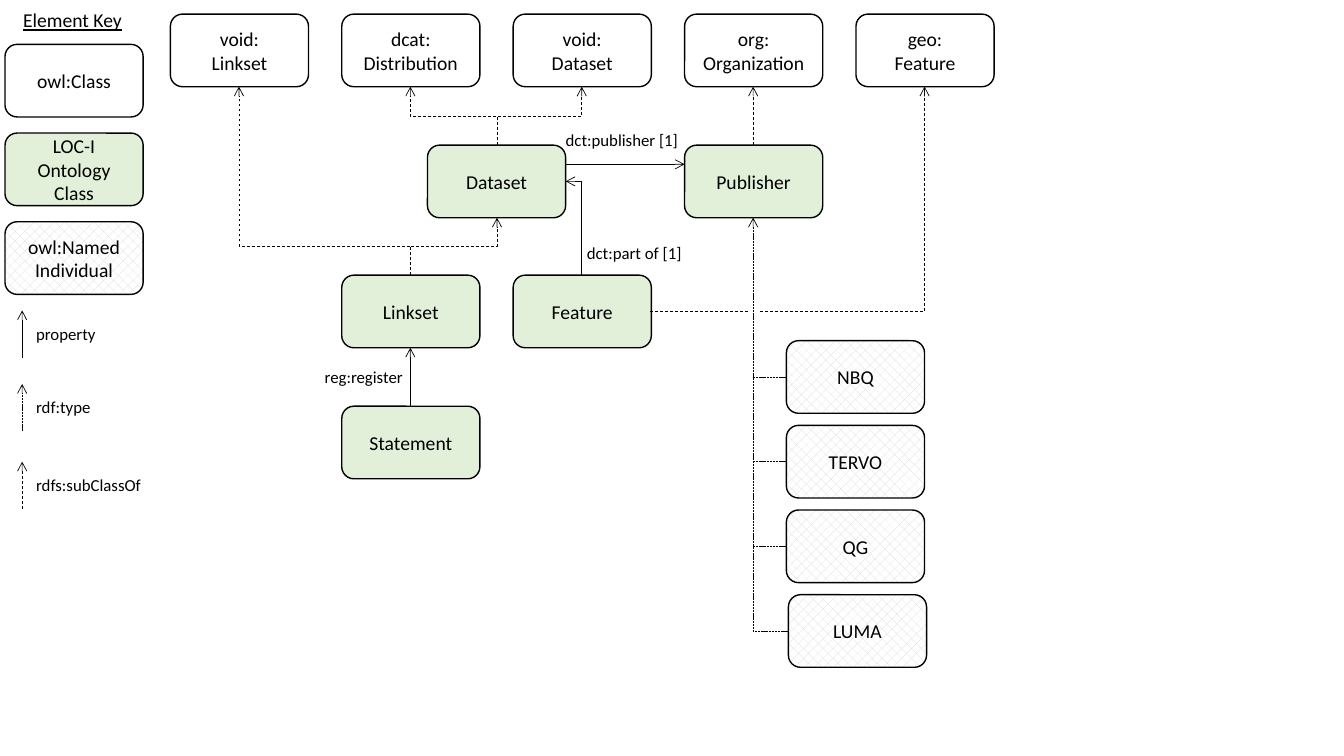
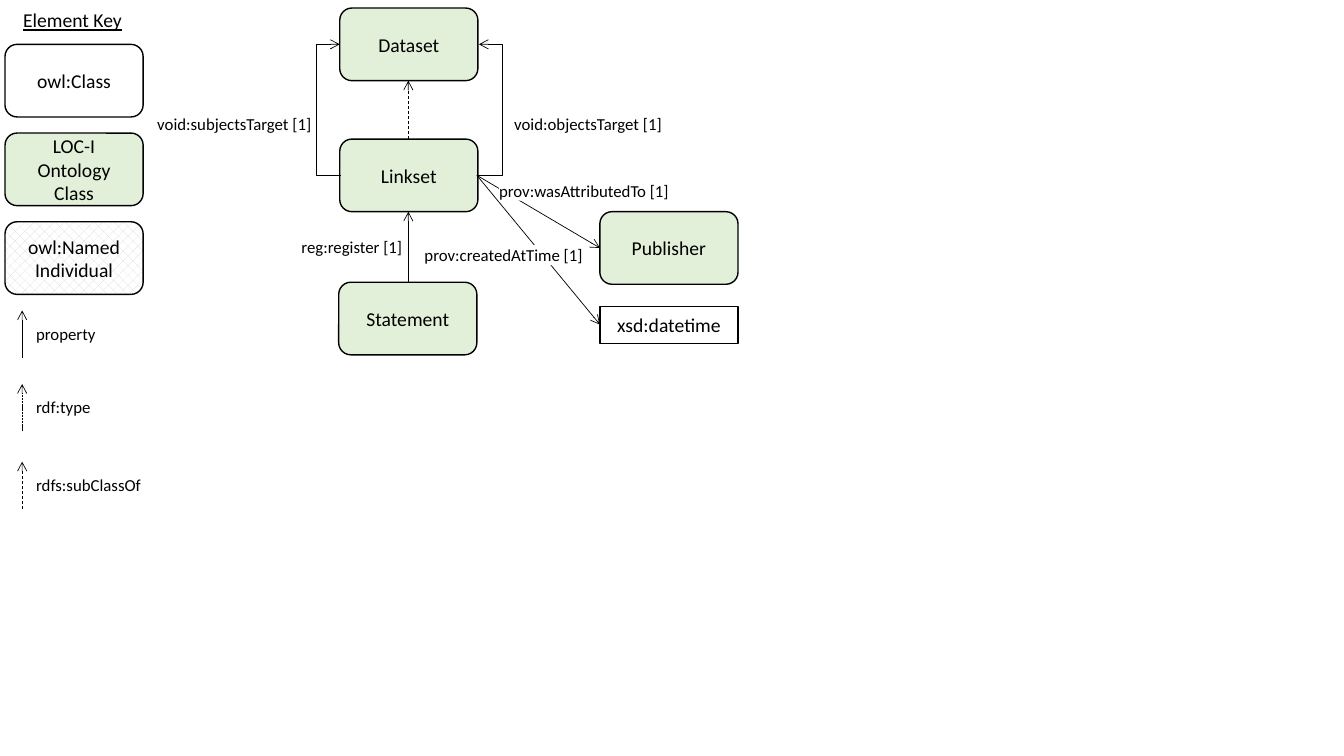
from lxml.etree import SubElement
from pptx import Presentation
from pptx.dml.color import RGBColor
from pptx.enum.dml import MSO_LINE, MSO_PATTERN
from pptx.enum.shapes import MSO_CONNECTOR, MSO_SHAPE
from pptx.enum.text import MSO_ANCHOR, MSO_AUTO_SIZE, PP_ALIGN
from pptx.oxml.ns import qn
from pptx.util import Inches, Pt

BLACK, WHITE, GREEN, GREY = "000000", "FFFFFF", "E2F0D9", "D9D9D9"
HATCH = "hatch"
DASH, DOT = MSO_LINE.DASH, MSO_LINE.SQUARE_DOT
WIDE, HIGH = 1.37, 0.72


def color(code):
    return RGBColor.from_string(code)


class Chart:
    font = "Calibri"

    def __init__(self, deck):
        self.deck = deck

    def page(self):
        self.slide = self.deck.slides.add_slide(self.deck.slide_layouts[6])
        self.key()

    def words(self, frame, text, size, align, under=False):
        frame.text = text
        for para in frame.paragraphs:
            para.alignment = align
            for run in para.runs:
                run.font.name = self.font
                run.font.size = Pt(size)
                run.font.color.rgb = color(BLACK)
                run.font.underline = under or None

    def paint(self, fill, tone):
        if tone is None:
            fill.background()
        elif tone == HATCH:
            fill.patterned()
            fill.pattern = MSO_PATTERN.PERCENT_30
            fill.fore_color.rgb = color(GREY)
            fill.back_color.rgb = color(WHITE)
        else:
            fill.solid()
            fill.fore_color.rgb = color(tone)

    def shape(self, kind, left, top, wide, high, tone):
        item = self.slide.shapes.add_shape(
            kind, Inches(left), Inches(top), Inches(wide), Inches(high))
        item.shadow.inherit = False
        self.paint(item.fill, tone)
        item.line.fill.background()
        return item

    def box(self, text, left, top, tone=GREEN, high=HIGH,
            kind=MSO_SHAPE.ROUNDED_RECTANGLE):
        item = self.shape(kind, left, top, WIDE, high, tone)
        item.line.color.rgb = color(BLACK)
        item.line.width = Pt(1)
        frame = item.text_frame
        frame.word_wrap = True
        frame.vertical_anchor = MSO_ANCHOR.MIDDLE
        self.words(frame, text, 14, PP_ALIGN.CENTER)

    def note(self, text, left, top, wide, high=0.3, size=12, under=False):
        item = self.slide.shapes.add_textbox(
            Inches(left), Inches(top), Inches(wide), Inches(high))
        frame = item.text_frame
        frame.word_wrap = False
        frame.auto_size = MSO_AUTO_SIZE.SHAPE_TO_FIT_TEXT
        self.words(frame, text, size, PP_ALIGN.LEFT, under)
        return item

    def label(self, text, left, top, wide, tone=WHITE):
        item = self.note(text, left, top, wide, 0.2)
        self.paint(item.fill, tone)
        frame = item.text_frame
        frame.margin_left = frame.margin_right = 0
        frame.margin_top = frame.margin_bottom = 0

    def line(self, start, end, dash=None, head=True,
             kind=MSO_CONNECTOR.STRAIGHT):
        item = self.slide.shapes.add_connector(
            kind, *(Inches(n) for n in (*start, *end)))
        item.line.color.rgb = color(BLACK)
        item.line.width = Pt(0.5)
        if dash:
            item.line.dash_style = dash
        props = item.element.spPr
        if head:
            SubElement(props.find(qn("a:ln")), qn("a:tailEnd"), type="arrow")
        SubElement(props, qn("a:effectLst"))
        return item

    def bend(self, start, end, dash=None, out=None, rise=False):
        (x1, y1), (x2, y2) = start, end
        run = abs(x2 - x1)
        if rise:
            run = y1 - y2
            mid, row, shift = (x1 + x2) / 2, (y1 + y2) / 2, (x2 - x1) / 2
            start = mid - run / 2, row - shift
            end = mid + run / 2, row + shift
        item = self.line(start, end, dash, kind=MSO_CONNECTOR.ELBOW)
        props = item.element.spPr
        if rise:
            props.find(qn("a:xfrm")).set("rot", str(270 * 60000))
        geom = props.find(qn("a:prstGeom"))
        if out is None:
            geom.set("prst", "bentConnector2")
        else:
            vals = geom.find(qn("a:avLst"))
            if vals is None:
                vals = SubElement(geom, qn("a:avLst"))
            SubElement(vals, qn("a:gd"), name="adj1",
                       fmla=f"val {round(out / run * 100000)}")

    def key(self):
        self.note("Element Key", 0.13, 0.03, 1.19, 0.34, 14, True)
        kinds = (("owl:Class", None), ("LOC-I Ontology Class", GREEN),
                 ("owl:Named\vIndividual", HATCH))
        for row, (text, tone) in enumerate(kinds):
            self.box(text, 0.05, 0.44 + 0.88 * row, tone)
        lines = (("property", 3.08, 0.8, None), ("rdf:type", 3.81, 0.74, DOT),
                 ("rdfs:subClassOf", 4.58, 1.25, DASH))
        for text, top, wide, dash in lines:
            self.line((0.22, top + 0.47), (0.22, top), dash)
            self.note(text, 0.26, top + 0.08, wide)


def classes(art):
    art.page()
    cols = [1.69 + 1.7 * n for n in range(5)]
    mids = [left + 0.68 for left in cols]
    data, rows = 4.24, (0.14, 1.44, 2.73, 4.03)
    hub = data + 0.69
    names = ("void:\vLinkset", "dcat:\vDistribution", "void:\vDataset",
             "org:\vOrganization", "geo:\vFeature")
    for text, left in zip(names, cols):
        art.box(text, left, rows[0], WHITE)
    art.box("Dataset", data, rows[1])
    art.box("Publisher", cols[3], rows[1])
    art.box("Linkset", cols[1], rows[2])
    art.box("Feature", cols[2], rows[2])
    art.box("Statement", cols[1], rows[3])

    for mid in mids[1:3]:
        art.bend((hub, 1.44), (mid, 0.86), DASH, 0.29, True)
    for end in ((mids[0], 0.86), (hub, 2.16)):
        art.bend((mids[1], 2.73), end, DASH, 0.29, True)
    art.bend((mids[2], 2.73), (5.61, 1.8), rise=True)
    art.label("dct:part of [1]", 5.82, 2.41, 0.95)
    art.line((5.61, 1.63), (cols[3], 1.63))
    art.label("dct:publisher [1]", 5.61, 1.29, 1.12, None)
    art.line((mids[3], 1.44), (mids[3], 0.86), DASH)
    art.bend((6.45, 3.09), (mids[4], 0.86), DASH)
    art.shape(MSO_SHAPE.RECTANGLE, 7.42, 3.04, 0.11, 0.11, WHITE)

    bodies = ("NBQ", "TERVO", "QG", "LUMA")
    for row, text in enumerate(bodies):
        top = 3.38 + 0.84 * row
        last = text == bodies[-1]
        left = 7.82 if last else 7.8
        art.box(text, left, top, HATCH)
        side = left, top + 0.36
        if last:
            art.bend(side, (mids[3], 2.16), DOT)
        else:
            art.line(side, (mids[3], top + 0.36), DOT, False)
    art.line((mids[1], 4.03), (mids[1], 3.45))
    art.label("reg:register", 3.22, 3.64, 0.78)


def links(art):
    art.page()
    left, far, mid = 3.37, 5.95, 4.05
    port = 4.73, 1.74
    art.box("Dataset", left, 0.08)
    art.box("Linkset", left, 1.38)
    art.box("Statement", left - 0.01, 2.8)
    art.box("Publisher", far, 2.1)
    art.box("xsd:datetime", far, 3.04, WHITE, 0.37, MSO_SHAPE.RECTANGLE)
    art.bend(port, (4.75, 0.44), out=0.25)
    art.bend((3.38, 1.74), (left, 0.44), out=0.25)
    art.line((mid, 1.38), (mid, 0.8), DASH)
    art.line((mid, 2.8), (mid, 2.1))
    for top in (2.46, 3.22):
        art.line(port, (far, top))
    labels = (("void:objectsTarget [1]", 5.1, 1.13, 1.48),
              ("void:subjectsTarget [1]", 1.56, 1.13, 1.54),
              ("reg:register [1]", 2.99, 2.35, 1.01),
              ("prov:createdAtTime [1]", 4.21, 2.43, 1.59),
              ("prov:wasAttributedTo [1]", 4.95, 1.79, 1.7))
    for spot in labels:
        art.label(*spot)


deck = Presentation()
deck.slide_width, deck.slide_height = Inches(13.33), Inches(7.5)
art = Chart(deck)
classes(art)
links(art)
deck.save("out.pptx")
